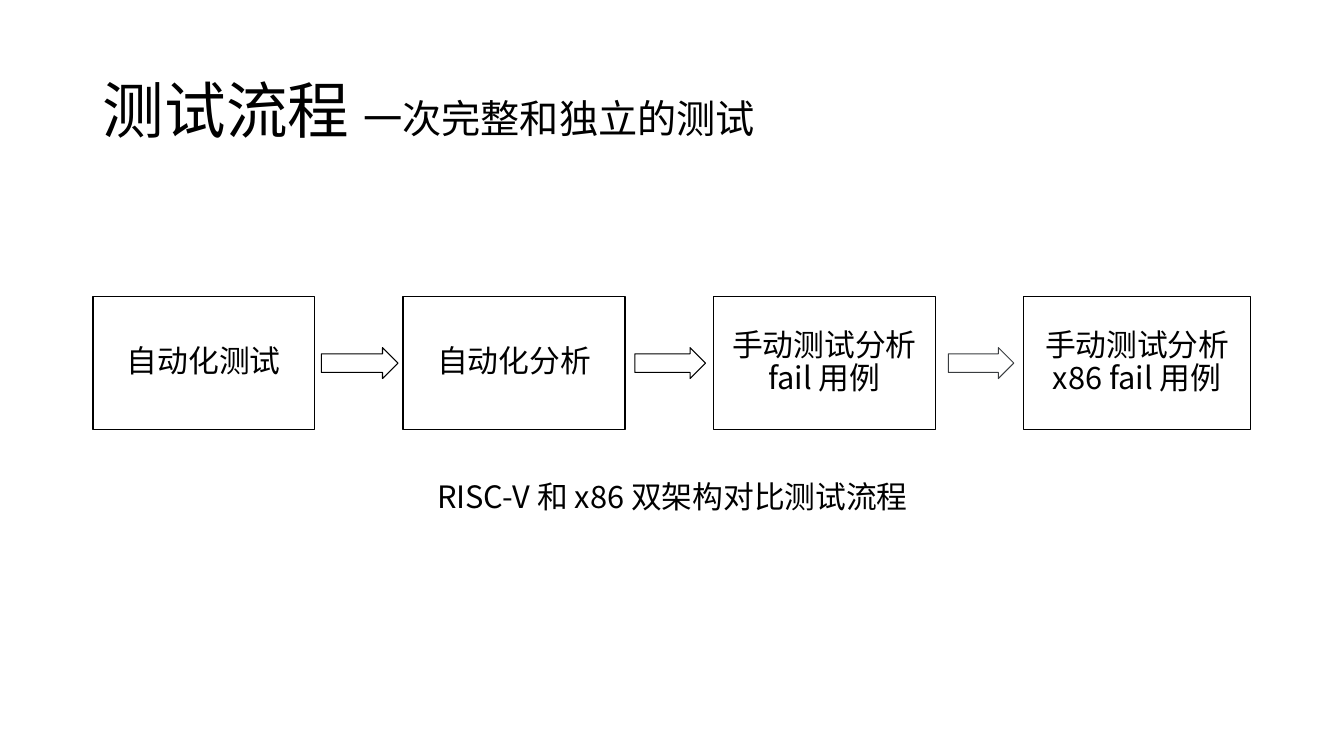
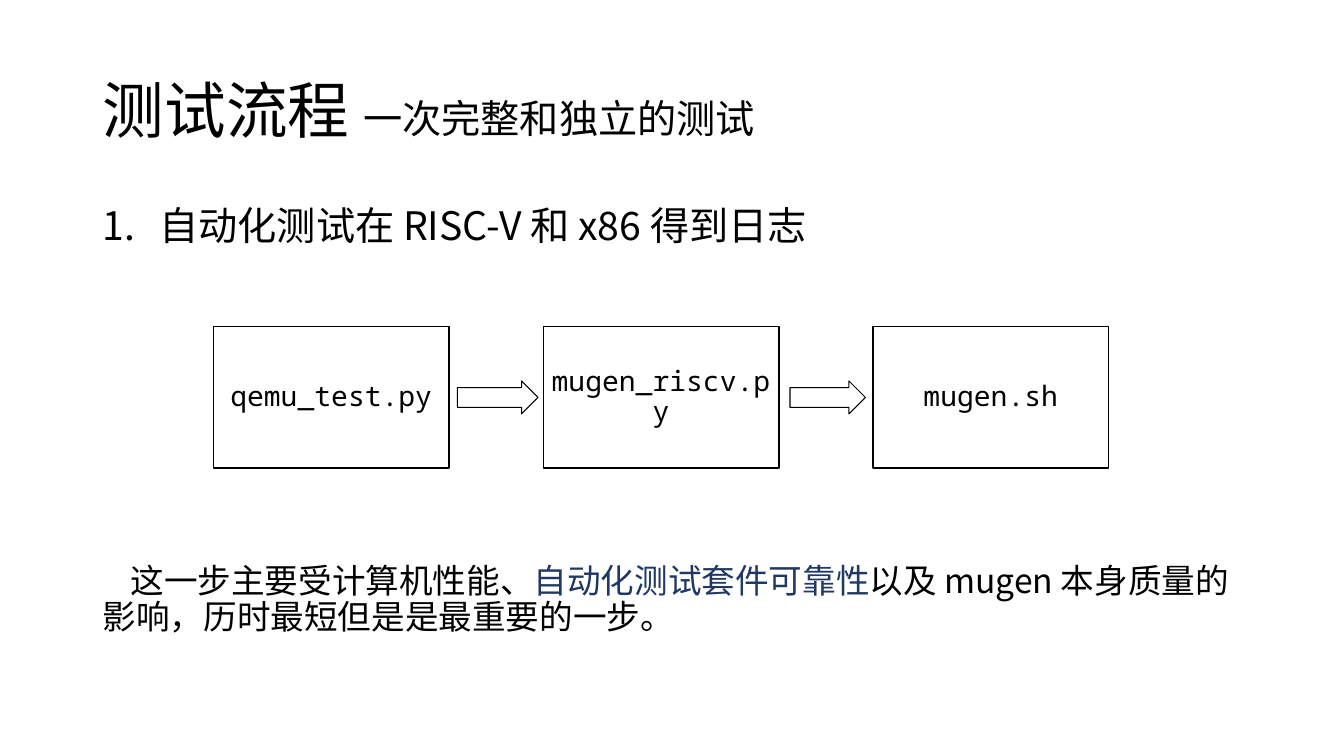
from dataclasses import dataclass
from lxml.etree import SubElement
from pptx import Presentation
from pptx.dml.color import RGBColor
from pptx.enum.shapes import MSO_SHAPE as Preset
from pptx.enum.text import MSO_ANCHOR as Anchor, MSO_AUTO_SIZE as AutoSize, PP_ALIGN as Align
from pptx.oxml.ns import qn
from pptx.util import Cm, Pt


@dataclass(frozen=True)
class Theme:
    black: RGBColor = RGBColor(0, 0, 0)
    gray: RGBColor = RGBColor(0x3A, 0x3D, 0x40)
    navy: RGBColor = RGBColor(0x20, 0x38, 0x64)
    sans: str = "Noto Sans CJK SC"
    mono: str = "Noto Sans Mono"
    title: int = 44
    heading: int = 28
    note: int = 24
    label: int = 22
    code: int = 20
    box_line: float = 1
    arrow_line: float = 0.75
    leading: float = 0.9


theme = Theme()
MARGIN, CONTENT_WIDTH = 2.34, 29.21


def fill_frame(frame, runs, align, anchor=Anchor.TOP):
    frame.word_wrap = True
    frame.auto_size = AutoSize.NONE
    frame.vertical_anchor = anchor
    paragraph = frame.paragraphs[0]
    paragraph.alignment = align
    paragraph.line_spacing = theme.leading
    for text, size, color, typeface in runs:
        run = paragraph.add_run()
        run.text = text
        run.font.size = Pt(size)
        run.font.color.rgb = color
        run.font.name = typeface
        SubElement(run.font._element, qn("a:ea")).set("typeface", typeface)
    return paragraph


def add_outline(slide, preset, left, top, width, height, color, weight):
    outline = slide.shapes.add_shape(preset, Cm(left), Cm(top), Cm(width), Cm(height))
    outline.shadow.inherit = False
    outline.fill.background()
    outline.line.color.rgb = color
    outline.line.width = Pt(weight)
    return outline


flows = [
    dict(
        steps=["自动化测试", "自动化分析", "手动测试分析 fail 用例", "手动测试分析 x86 fail 用例"],
        left=2.34, top=7.47, pitch=7.82, widths=[5.59, 5.59, 5.59, 5.72], height=3.35,
        inset=0.23, size=theme.label, typeface=theme.sans,
        arrow_left=8.1, arrow_pitch=7.9, arrow_top=8.76, arrow_height=0.78,
        arrows=[(1.93, theme.black), (1.78, theme.black), (1.65, theme.gray)],
    ),
    dict(
        steps=["qemu_test.py", "mugen_riscv.py", "mugen.sh"],
        left=5.38, top=8.23, pitch=8.31, widths=[5.94] * 3, height=3.56,
        inset=0.2, size=theme.code, typeface=theme.mono,
        arrow_left=11.53, arrow_pitch=8.38, arrow_top=9.6, arrow_height=0.83,
        arrows=[(2.03, theme.black), (1.9, theme.black)],
    ),
]

deck = Presentation()
deck.slide_width, deck.slide_height = Cm(33.87), Cm(19.05)
title_only = deck.slide_layouts[5]
slides = []

for flow in flows:
    slide = deck.slides.add_slide(title_only)
    slides.append(slide)
    title = slide.shapes.title
    title.left, title.top = Cm(MARGIN), Cm(1.02)
    title.width, title.height = Cm(CONTENT_WIDTH), Cm(3.68)
    fill_frame(title.text_frame, [
        ("测试流程 ", theme.title, theme.black, theme.sans),
        ("一次完整和独立的测试", theme.heading, theme.black, theme.sans),
    ], Align.LEFT, Anchor.MIDDLE)

    for i, (step, width) in enumerate(zip(flow["steps"], flow["widths"])):
        box = add_outline(slide, Preset.FLOWCHART_PROCESS, flow["left"] + i * flow["pitch"],
                          flow["top"], width, flow["height"], theme.black, theme.box_line)
        frame = box.text_frame
        frame.margin_left = frame.margin_right = Cm(flow["inset"])
        frame.margin_top = frame.margin_bottom = Cm(flow["inset"])
        fill_frame(frame, [(step, flow["size"], theme.black, flow["typeface"])],
                   Align.CENTER, Anchor.MIDDLE)

    for i, (width, color) in enumerate(flow["arrows"]):
        arrow = add_outline(slide, Preset.RIGHT_ARROW, flow["arrow_left"] + i * flow["arrow_pitch"],
                            flow["arrow_top"], width, flow["arrow_height"], color, theme.arrow_line)
        arrow.adjustments[0], arrow.adjustments[1] = 0.6, 0.5

overview, automation = slides

caption = overview.shapes.add_textbox(Cm(MARGIN), Cm(12.01), Cm(CONTENT_WIDTH), Cm(1.88))
fill_frame(caption.text_frame, [
    ("RISC-V 和 x86 双架构对比测试流程", theme.label, theme.black, theme.sans),
], Align.CENTER)

heading = automation.shapes.add_textbox(Cm(MARGIN), Cm(5.08), Cm(CONTENT_WIDTH), Cm(1.5))
numbered = fill_frame(heading.text_frame, [
    ("自动化测试在 RISC-V 和 x86 得到日志", theme.heading, theme.black, theme.sans),
], Align.LEFT)
numbering = numbered._p.get_or_add_pPr()
numbering.set("marL", str(Cm(1.43)))
numbering.set("indent", str(-Cm(1.43)))
SubElement(numbering, qn("a:buFont")).set("typeface", theme.sans)
SubElement(numbering, qn("a:buAutoNum")).set("type", "arabicPeriod")

note = automation.shapes.add_textbox(Cm(MARGIN), Cm(14.1), Cm(CONTENT_WIDTH), Cm(2.5))
remark = fill_frame(note.text_frame, [
    ("这一步主要受计算机性能、", theme.note, theme.black, theme.sans),
    ("自动化测试套件可靠性", theme.note, theme.navy, theme.sans),
    ("以及 mugen 本身质量的影响，历时最短但是是最重要的一步。", theme.note, theme.black, theme.sans),
], Align.LEFT)
remark._p.get_or_add_pPr().set("indent", str(Cm(0.7)))

deck.save("out.pptx")
